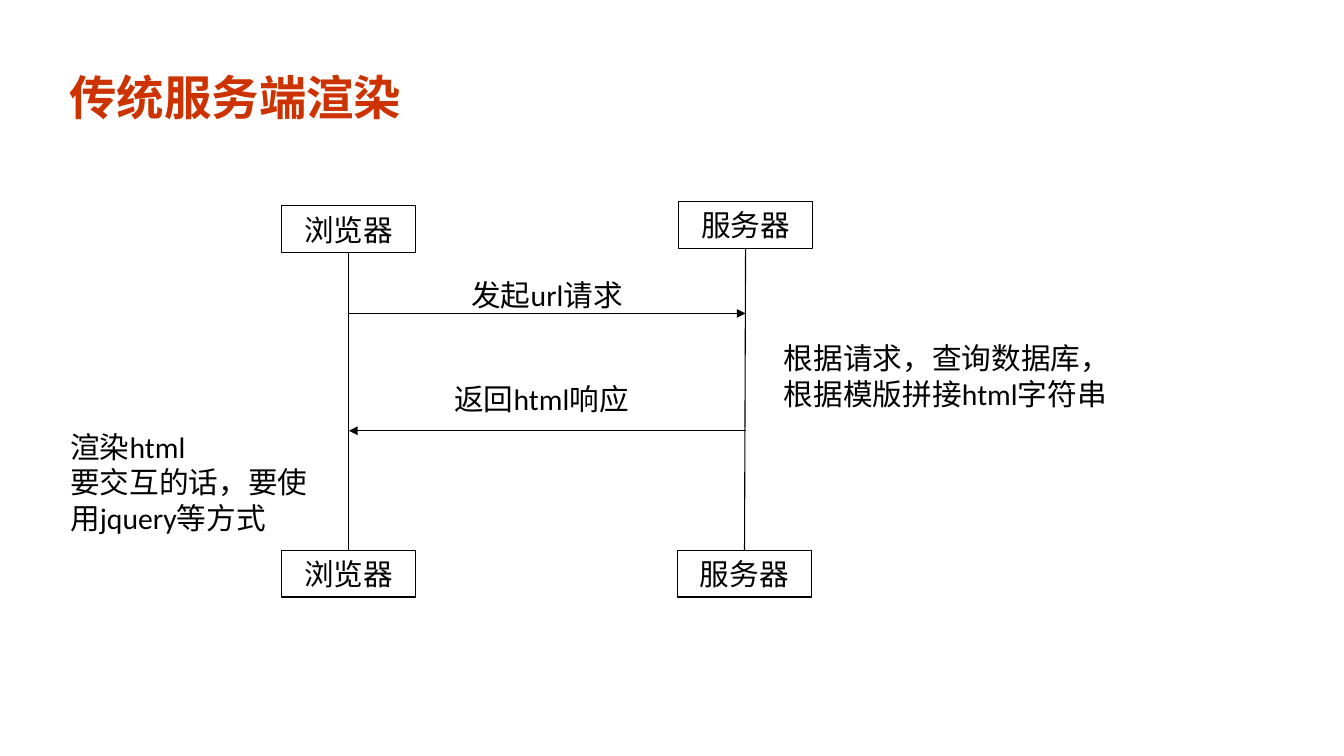
from lxml import etree
from pptx import Presentation
from pptx.dml.color import RGBColor
from pptx.enum.shapes import MSO_CONNECTOR, MSO_SHAPE
from pptx.enum.text import MSO_ANCHOR, PP_ALIGN
from pptx.oxml.ns import qn
from pptx.util import Inches, Pt

STRAIGHT, RECTANGLE = MSO_CONNECTOR.STRAIGHT, MSO_SHAPE.RECTANGLE
LEFT, CENTER = PP_ALIGN.LEFT, PP_ALIGN.CENTER
TOP, MIDDLE = MSO_ANCHOR.TOP, MSO_ANCHOR.MIDDLE
BLACK, RED = "000000", "CC3300"
CJK_FONT = "Noto Sans CJK SC"
BOX_WIDTH, BOX_HEIGHT = 1.26, 0.44
BOTTOM_ROW = 5.16


def write_text(frame, text, size=20, font="Calibri", color=BLACK, bold=False,
               align=LEFT, anchor=TOP):
    frame.word_wrap = True
    frame.vertical_anchor = anchor
    for index, line in enumerate(text.split("\n")):
        para = frame.add_paragraph() if index else frame.paragraphs[0]
        para.alignment = align
        span = para.add_run()
        span.text = line
        span.font.size = Pt(size)
        span.font.name = font
        span.font.bold = bold
        span.font.color.rgb = RGBColor.from_string(color)
        east_asian = etree.SubElement(span.font._element, qn("a:ea"))
        east_asian.set("typeface", CJK_FONT)


def draw_line(start_x, start_y, end_x, end_y, arrow=False):
    line = page.shapes.add_connector(
        STRAIGHT, Inches(start_x), Inches(start_y), Inches(end_x), Inches(end_y))
    line.line.width = Pt(0.75)
    line.line.color.rgb = RGBColor.from_string(BLACK)
    if arrow:
        outline = line.line._get_or_add_ln()
        etree.SubElement(outline, qn("a:tailEnd")).set("type", "triangle")
    etree.SubElement(line._element.spPr, qn("a:effectLst"))
    return line


deck = Presentation()
deck.slide_width, deck.slide_height = Inches(12.6), Inches(7.09)
page = deck.slides.add_slide(deck.slide_layouts[5])

title = page.shapes.title
title.left, title.top = Inches(0.55), Inches(0.55)
title.width, title.height = Inches(6.69), Inches(0.71)
write_text(title.text_frame, "传统服务端渲染", size=32, font=CJK_FONT,
           color=RED, bold=True, anchor=MIDDLE)

lifelines = [
    ("浏览器", 2.64, 1.93, 2.64),
    ("服务器", 6.36, 1.89, 6.35),
]
for name, top_left, top_row, bottom_left in lifelines:
    ends = []
    for left, top in ((top_left, top_row), (bottom_left, BOTTOM_ROW)):
        box = page.shapes.add_shape(RECTANGLE, Inches(left), Inches(top),
                                    Inches(BOX_WIDTH), Inches(BOX_HEIGHT))
        box.shadow.inherit = False
        box.fill.background()
        box.line.width = Pt(0.75)
        box.line.color.rgb = RGBColor.from_string(BLACK)
        write_text(box.text_frame, name, align=CENTER, anchor=MIDDLE)
        ends.append(box)
    lifeline = draw_line(top_left + BOX_WIDTH / 2, top_row + BOX_HEIGHT,
                         bottom_left + BOX_WIDTH / 2, BOTTOM_ROW)
    lifeline.begin_connect(ends[0], 2)
    lifeline.end_connect(ends[1], 0)

browser_x, server_x = [left + BOX_WIDTH / 2 for _, left, _, _ in lifelines]
draw_line(browser_x, 2.94, server_x, 2.94, arrow=True)
draw_line(server_x, 4.04, browser_x, 4.04, arrow=True)

notes = [
    ("发起url请求", 4.32, 2.55, 1.89, 0.44),
    ("根据请求，查询数据库，\n根据模版拼接html字符串", 7.25, 3.14, 3.59, 0.77),
    ("返回html响应", 4.16, 3.52, 2.05, 0.44),
    ("渲染html\n要交互的话，要使用jquery等方式", 0.56, 3.97, 2.68, 1.11),
]
for text, left, top, width, height in notes:
    note = page.shapes.add_textbox(Inches(left), Inches(top),
                                   Inches(width), Inches(height))
    write_text(note.text_frame, text)

deck.save("out.pptx")
